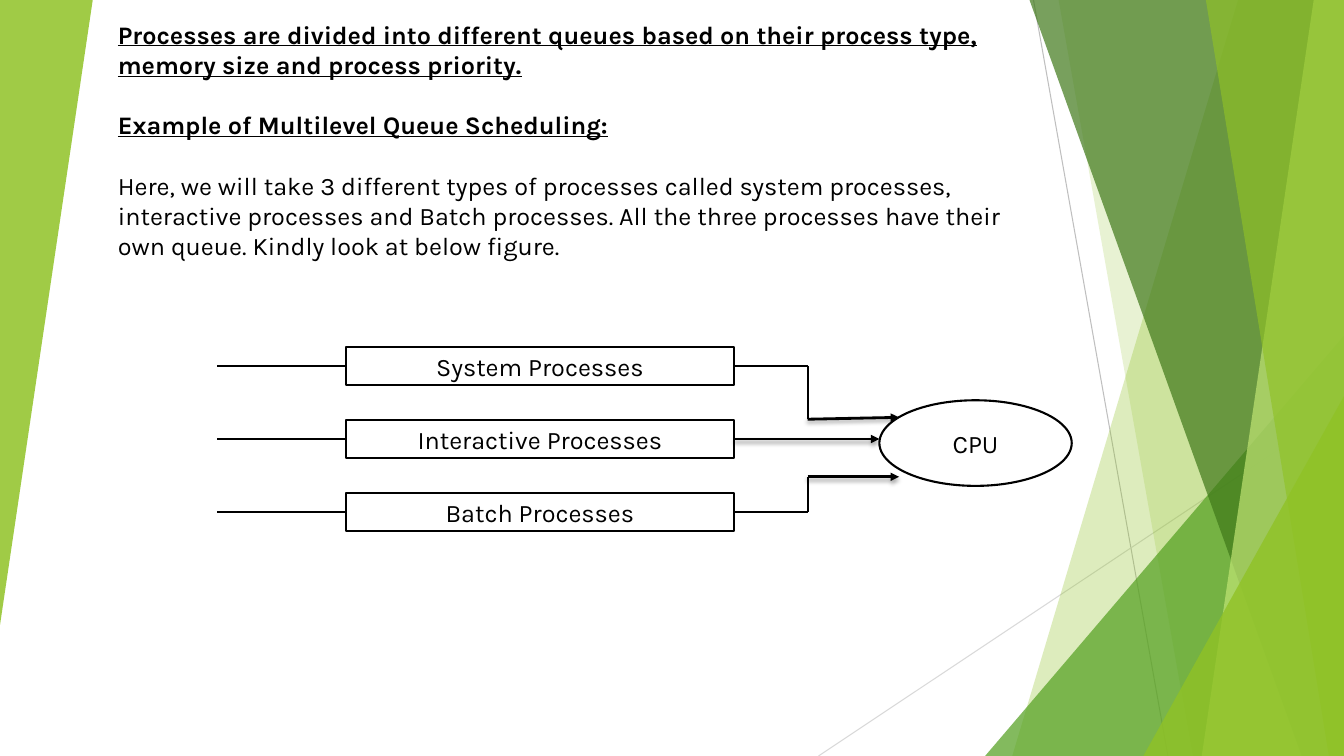
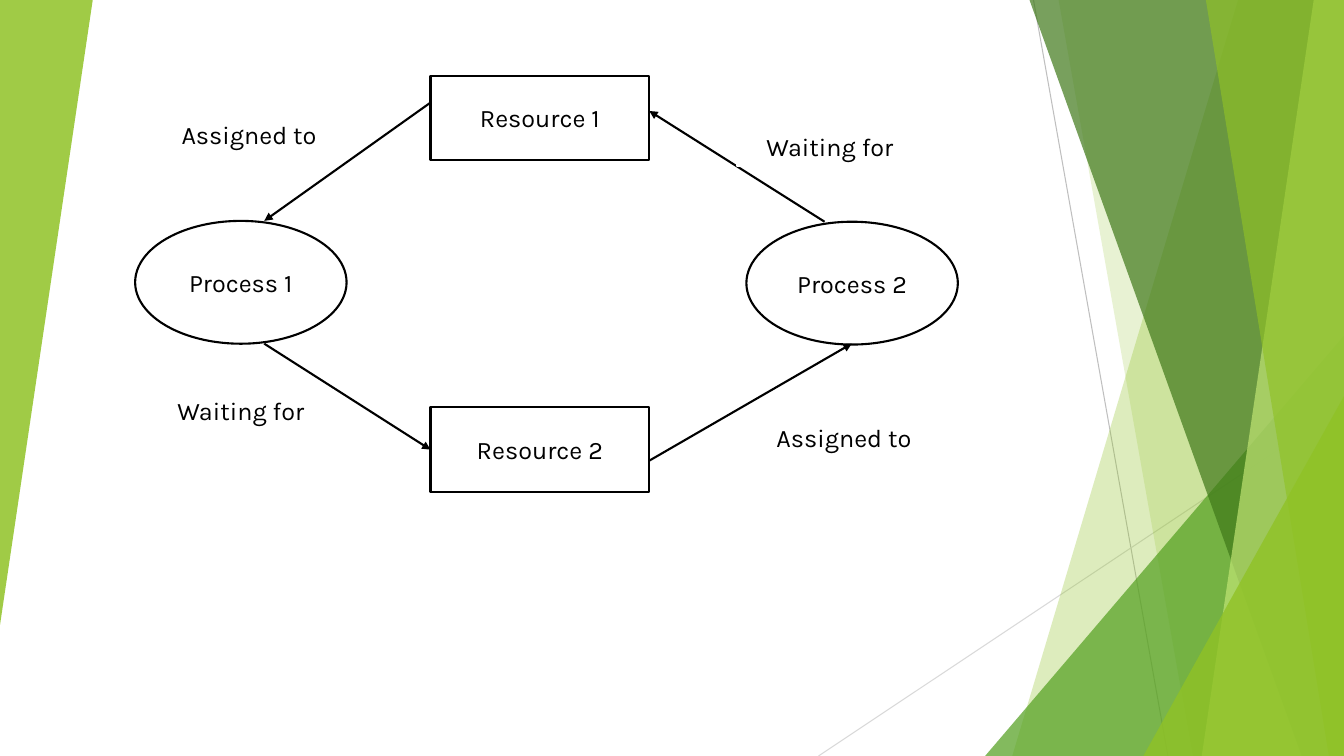
from dataclasses import dataclass

from lxml.etree import SubElement
from pptx import Presentation
from pptx.dml.color import RGBColor
from pptx.enum.shapes import MSO_CONNECTOR, MSO_SHAPE
from pptx.enum.text import MSO_ANCHOR, PP_ALIGN
from pptx.oxml.ns import qn
from pptx.util import Inches, Pt

WIDE, HIGH = 13.33, 7.5
FONT = "Karla"
HUES = {
    "ink": "000000", "paper": "FFFFFF", "grey": "BFBFBF", "pale": "D9D9D9",
    "lime": "90C226", "green": "54A021", "forest": "3F7819", "mint": "C0E474",
}


@dataclass
class Box:
    """A region in inches; its parts are placed in percent of its size."""
    left: float
    top: float
    wide: float
    high: float

    def point(self, x, y):
        return (Inches(self.left + self.wide * x / 100),
                Inches(self.top + self.high * y / 100))

    def area(self, x, y, w, h):
        return (*self.point(x, y),
                Inches(self.wide * w / 100), Inches(self.high * h / 100))


PAGE = Box(0, 0, WIDE, HIGH)


def hue(name):
    return RGBColor.from_string(HUES[name])


def write(para, text, size=18, bold=False, under=False, align=None, gap=0):
    para.alignment = align
    para.space_before = Pt(gap)
    run = para.add_run()
    run.text = text
    font = run.font
    font.name, font.size, font.bold, font.underline = FONT, Pt(size), bold, under
    font.color.rgb = hue("ink")


def node(slide, kind, area, text, edge="ink"):
    shape = slide.shapes.add_shape(kind, *area)
    shape.shadow.inherit = False
    shape.fill.solid()
    shape.fill.fore_color.rgb = hue("paper")
    shape.line.color.rgb = hue(edge)
    shape.line.width = Pt(1.5)
    frame = shape.text_frame
    frame.word_wrap = True
    frame.vertical_anchor = MSO_ANCHOR.MIDDLE
    write(frame.paragraphs[0], text, align=PP_ALIGN.CENTER)
    return shape


def link(slide, start, end, color="ink", width=1.5, arrow=False, shade=False):
    wire = slide.shapes.add_connector(MSO_CONNECTOR.STRAIGHT, *start, *end)
    wire.line.color.rgb = hue(color)
    wire.line.width = Pt(width)
    props = wire.element.spPr
    if arrow:
        SubElement(props.find(qn("a:ln")), qn("a:tailEnd"), type="triangle")
    effect = SubElement(props, qn("a:effectLst"))
    if shade:
        glow = SubElement(effect, qn("a:outerShdw"), blurRad=str(Pt(3)),
                          dist=str(Pt(2)), dir="5400000", rotWithShape="0")
        tone = SubElement(glow, qn("a:srgbClr"), val=HUES["ink"])
        SubElement(tone, qn("a:alpha"), val="35000")
    return wire


def tint(shape, color, alpha):
    """Give a borderless fill with alpha percent of opacity."""
    shape.shadow.inherit = False
    shape.fill.solid()
    shape.fill.fore_color.rgb = hue(color)
    tone = next(shape.element.spPr.iter(qn("a:srgbClr")))
    SubElement(tone, qn("a:alpha"), val=str(alpha * 1000))
    shape.line.fill.background()


def band(slide, box, top, foot, color, alpha):
    """Fill from a slanted edge to the right side of the box."""
    form = slide.shapes.build_freeform(*box.point(top, 0), scale=1.0)
    form.add_line_segments(
        [box.point(100, 0), box.point(100, 100), box.point(foot, 100)])
    tint(form.convert_to_shape(), color, alpha)


def wedge(slide, area, color, alpha, turn=0):
    shape = slide.shapes.add_shape(MSO_SHAPE.ISOSCELES_TRIANGLE, *area)
    shape.adjustments[0] = 1
    shape.rotation = turn
    tint(shape, color, alpha)


def backdrop(slide, box):
    link(slide, box.point(76.9, 0), box.point(86.9, 100), "grey", 0.75)
    link(slide, box.point(100, 53.7), box.point(60.9, 100), "pale", 0.75)
    band(slide, box, 92.12, 75.32, "lime", 30)
    band(slide, box, 78.77, 88.75, "lime", 20)
    wedge(slide, box.area(73.3, 44.4, 26.7, 55.6), "green", 72)
    band(slide, box, 76.6, 96.85, "forest", 70)
    band(slide, box, 97.75, 89.42, "mint", 70)
    band(slide, box, 89.72, 98.87, "lime", 65)
    wedge(slide, box.area(85.07, 52.4, 14.93, 47.6), "lime", 80)
    wedge(slide, box.area(0, 0, 6.9, 82.67), "lime", 85, turn=180)


def share(slide, layout):
    """Move the slide's shapes to its layout, in place of the placeholders."""
    for spare in list(layout.placeholders):
        spare.element.getparent().remove(spare.element)
    for shape in list(slide.shapes):
        layout.shapes.element.append(shape.element)


def intro(slide, box):
    frame = slide.shapes.add_textbox(*box.area(0, 0, 100, 100)).text_frame
    frame.word_wrap = True
    head = {"bold": True, "under": True}
    write(frame.paragraphs[0], "Processes are divided into different queues based on "
          "their process type, memory size and process priority.", **head)
    write(frame.add_paragraph(), "Example of Multilevel Queue Scheduling:",
          gap=21.5, **head)
    write(frame.add_paragraph(), "Here, we will take 3 different types of processes "
          "called system processes, interactive processes and Batch processes. All the "
          "three processes have their own queue. Kindly look at below figure.", gap=21.5)


def queues(slide, box):
    names = ("System Processes", "Interactive Processes", "Batch Processes")
    pitch, tall, bend, port = 39.6, 20.8, 69.1, 79.8
    turns = {0: (39.3, 38.3), 2: (70.5, 70.5)}
    bold = {"width": 2, "arrow": True, "shade": True}
    for row, name in enumerate(names):
        top = row * pitch
        mid = top + tall / 2
        lane = node(slide, MSO_SHAPE.RECTANGLE, box.area(15.1, top, 45.4, tall), name)
        feed = link(slide, box.point(15.1, mid), box.point(0, mid))
        feed.begin_connect(lane, 1)
        if row in turns:
            near, far = turns[row]
            out = link(slide, box.point(60.5, mid), box.point(bend, mid))
            link(slide, box.point(bend, mid), box.point(bend, near))
            link(slide, box.point(bend, near), box.point(port, far), **bold)
        else:
            out = link(slide, box.point(60.5, mid), box.point(77.5, mid), **bold)
        out.begin_connect(lane, 3)
    node(slide, MSO_SHAPE.OVAL, box.area(77.5, 29, 22.5, 46.4), "CPU")


def cycle(slide, box):
    """Draw two processes and two resources that wait in a ring."""
    need, disk = [
        node(slide, MSO_SHAPE.RECTANGLE, box.area(35.9, y, 26.6, 20.3), f"Resource {n}")
        for n, y in ((1, 0), (2, 79.7))]
    for n, x, y in ((1, 0, 34.9), (2, 74.3, 35.1)):
        node(slide, MSO_SHAPE.OVAL, box.area(x, y, 25.7, 29.5), f"Process {n}")
    ends = (
        ((35.9, 6.5), (15.7, 34.9)),
        ((83.8, 35.1), (62.5, 8.5)),
        ((62.5, 92.5), (87.1, 64.4)),
        ((15.7, 64.4), (35.9, 89.8)),
    )
    for start, end in ends:
        wire = link(slide, box.point(*start), box.point(*end), arrow=True)
    wire.end_connect(disk, 1)
    tags = (
        ("Assigned to", 2.6, 9.4), ("Assigned to", 74.9, 82.1),
        ("Waiting for", 73.2, 12.1), ("Waiting for", 1.6, 75.5),
    )
    for text, x, y in tags:
        node(slide, MSO_SHAPE.RECTANGLE, box.area(x, y, 22.5, 9.7), text, edge="paper")


def main():
    deck = Presentation()
    deck.slide_width, deck.slide_height = Inches(WIDE), Inches(HIGH)
    blank = deck.slide_layouts[6]
    first = deck.slides.add_slide(blank)
    backdrop(first, PAGE)
    share(first, blank)
    intro(first, Box(1.07, 0.14, 9.08, 2.83))
    queues(first, Box(2.15, 3.44, 8.48, 1.83))
    second = deck.slides.add_slide(blank)
    cycle(second, Box(1.34, 0.75, 8.16, 4.13))
    deck.save("out.pptx")


if __name__ == "__main__":
    main()
